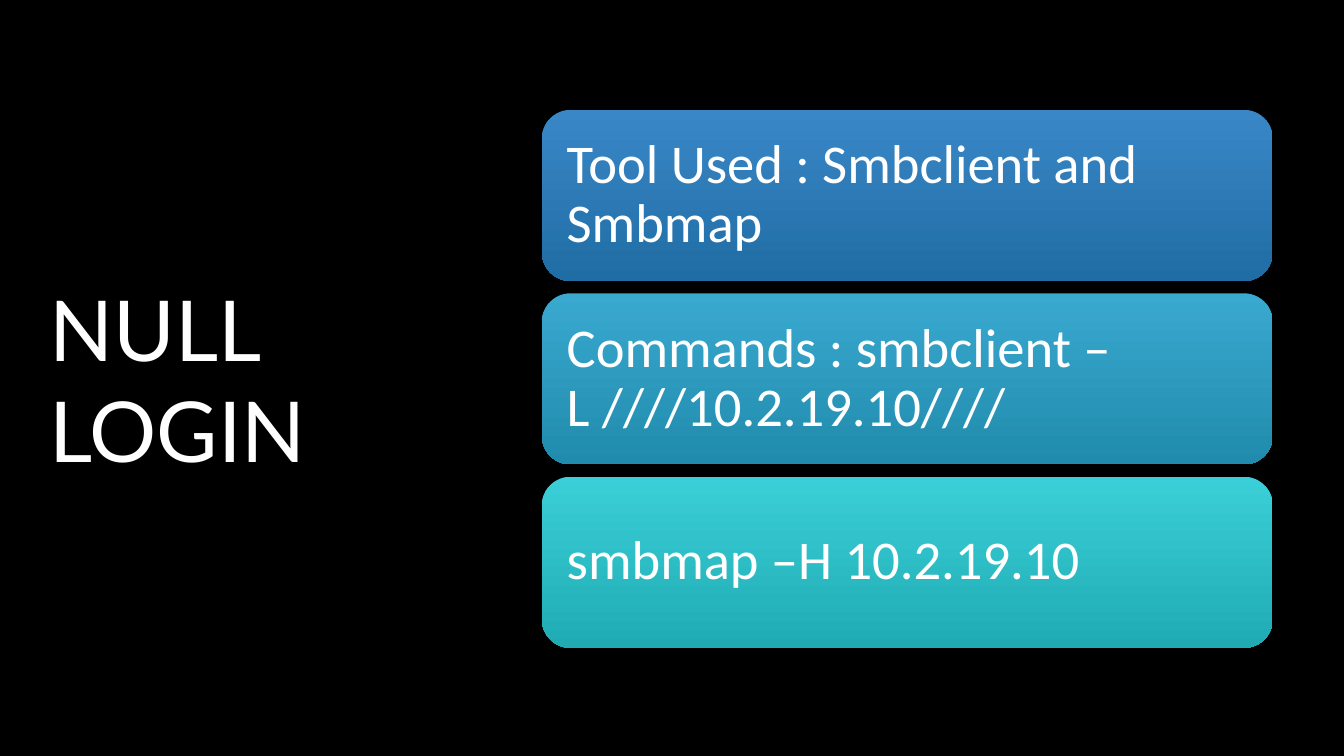
from pptx import Presentation
from pptx.dml.color import RGBColor
from pptx.enum.shapes import MSO_SHAPE
from pptx.enum.text import MSO_ANCHOR, MSO_AUTO_SIZE, PP_ALIGN
from pptx.util import Pt

BLACK = RGBColor(0x00, 0x00, 0x00)
WHITE = RGBColor(0xFF, 0xFF, 0xFF)
BLUE = RGBColor(0x39, 0x87, 0xC7), RGBColor(0x20, 0x6D, 0xA5)
SKY = RGBColor(0x3A, 0xA9, 0xD0), RGBColor(0x20, 0x8B, 0xAC)
TEAL = RGBColor(0x3A, 0xCF, 0xD8), RGBColor(0x20, 0xAB, 0xB3)

FRAME = dict(word_wrap=True, auto_size=MSO_AUTO_SIZE.NONE,
             vertical_anchor=MSO_ANCHOR.MIDDLE)
CARD_FRAME = dict(FRAME, margin_left=Pt(11.7), margin_right=Pt(11.7),
                  margin_top=Pt(11.7), margin_bottom=Pt(11.7))
TITLE_FONT = dict(name="Lato", size=Pt(60))
CARD_FONT = dict(name="Calibri", size=Pt(39))

CARDS = [
    ("Tool Used : Smbclient and Smbmap", BLUE),
    ("Commands : smbclient –L ////10.2.19.10////", SKY),
    ("smbmap –H 10.2.19.10", TEAL),
]


def apply(obj, values):
    """Set each named attribute on the object."""
    for name, value in values.items():
        setattr(obj, name, value)


def write(sp, text, frame, font, line_spacing):
    """Put one left-aligned white paragraph in the shape."""
    tf = sp.text_frame
    apply(tf, frame)
    p = tf.paragraphs[0]
    apply(p, dict(alignment=PP_ALIGN.LEFT, line_spacing=line_spacing))
    r = p.add_run()
    r.text = text
    apply(r.font, font)
    r.font.color.rgb = WHITE


def add_title(s, text, left, top, width, height):
    """Place and fill the title placeholder in the given box."""
    sp = s.shapes.title
    apply(sp, dict(left=Pt(left), top=Pt(top), width=Pt(width), height=Pt(height)))
    write(sp, text, FRAME, TITLE_FONT, 1.0)


def add_cards(s, cards, left, top, width, height, gap):
    """Stack gradient cards evenly in the given box."""
    card_h = (height - gap * (len(cards) - 1)) / len(cards)
    for i, (text, colors) in enumerate(cards):
        sp = s.shapes.add_shape(MSO_SHAPE.ROUNDED_RECTANGLE, Pt(left),
                                Pt(top + i * (card_h + gap)), Pt(width), Pt(card_h))
        sp.shadow.inherit = False
        sp.line.fill.background()
        sp.fill.gradient()
        sp.fill.gradient_angle = 270
        for stop, color in zip(sp.fill.gradient_stops, colors):
            stop.color.rgb = color
        write(sp, text, CARD_FRAME, CARD_FONT, 0.9)


def main():
    """Build the slide and save it."""
    prs = Presentation()
    apply(prs, dict(slide_width=Pt(960), slide_height=Pt(540)))
    s = prs.slides.add_slide(prs.slide_layouts[5])
    s.background.fill.solid()
    s.background.fill.fore_color.rgb = BLACK
    add_title(s, "NULL LOGIN", 28, 215.5, 347, 110)
    add_cards(s, CARDS, 387.1, 78.5, 522, 384.3, 8.8)
    prs.save("out.pptx")


if __name__ == "__main__":
    main()
